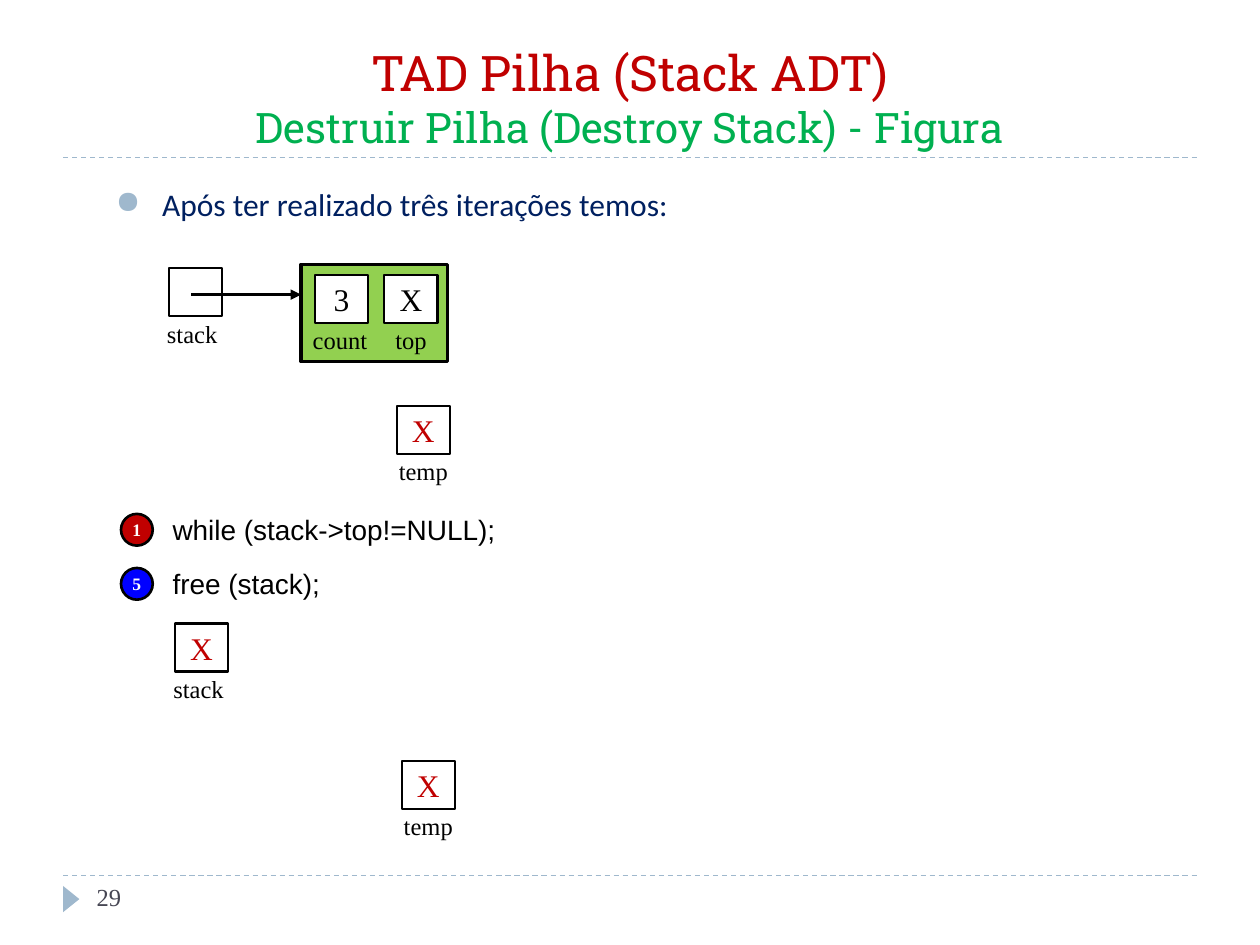
"""Build the slide that shows a stack being destroyed after three iterations."""
import pptx
import pptx.util
import pptx.dml.color
import pptx.enum.dml
import pptx.enum.shapes
import pptx.enum.text
import pptx.oxml
import pptx.oxml.ns

Cm = pptx.util.Cm
Pt = pptx.util.Pt
SHAPES = pptx.enum.shapes.MSO_SHAPE
ALIGN = pptx.enum.text.PP_ALIGN
ANCHOR = pptx.enum.text.MSO_ANCHOR

SERIF, SANS = "Times New Roman", "Arial"
BLACK, WHITE, RED, ACCENT = "000000", "FFFFFF", "C00000", "9FB8CD"

TITLE = [("TAD Pilha (Stack ADT)", 28, RED),
         ("Destruir Pilha (Destroy Stack) - Figura", 24, "00B050")]
STATEMENT = "Após ter realizado três iterações temos:"
PAGE_NUMBER = "29"
RULE_TOPS = [17.65, 3.18]
STEPS = [(10.21, "1", RED, "while (stack->top!=NULL);"),
         (11.3, "5", "0000FF", "free (stack);")]
VARIABLES = [(3.4, 5.41, "", BLACK, "stack"),
             (6.35, 5.54, "3", BLACK, "count"),
             (7.75, 5.54, "X", BLACK, "top"),
             (8, 8.18, "X", RED, "temp"),
             (3.53, 12.57, "X", RED, "stack"),
             (8.1, 15.34, "X", RED, "temp")]
LABELS = {"stack": (1.55, -0.06), "count": (1.63, -0.03), "top": (1.14, 0), "temp": (1.5, 0)}
CELL_WIDTH, CELL_HEIGHT, LABEL_DROP = 1.07, 0.97, 0.89
POINTER = (3.86, 5.94, 6.07, 5.94)


def rgb(value):
    return pptx.dml.color.RGBColor.from_string(value)


def format_run(run, size, color, font=SERIF, bold=False):
    run.font.size, run.font.name, run.font.bold = Pt(size), font, bold
    run.font.color.rgb = rgb(color)


def add_text(slide, box, text, size, color, font=SERIF, align=ALIGN.LEFT, wrap=True):
    shape = slide.shapes.add_textbox(*map(Cm, box))
    shape.text_frame.word_wrap = wrap
    paragraph = shape.text_frame.paragraphs[0]
    paragraph.text, paragraph.alignment = text, align
    for run in paragraph.runs:
        format_run(run, size, color, font)
    return shape


def add_figure(slide, kind, box, fill, line_width=0, text="", size=18, color=BLACK, bold=False):
    shape = slide.shapes.add_shape(kind, *map(Cm, box))
    shape.shadow.inherit = False
    shape.fill.solid()
    shape.fill.fore_color.rgb = rgb(fill)
    if line_width:
        shape.line.color.rgb = rgb(BLACK)
        shape.line.width = Pt(line_width)
    else:
        shape.line.fill.background()
    if text:
        frame = shape.text_frame
        frame.text, frame.word_wrap, frame.vertical_anchor = text, False, ANCHOR.MIDDLE
        frame.paragraphs[0].alignment = ALIGN.CENTER
        format_run(frame.paragraphs[0].runs[0], size, color, bold=bold)
    return shape


def add_line(slide, ends, color, width):
    line = slide.shapes.add_connector(pptx.enum.shapes.MSO_CONNECTOR.STRAIGHT, *map(Cm, ends))
    line.line.color.rgb = rgb(color)
    line.line.width = Pt(width)
    pptx.oxml.ns.qn("a:effectLst")
    line._element.spPr.append(pptx.oxml.parse_xml(
        f"<a:effectLst {pptx.oxml.ns.nsdecls('a')}/>"))
    return line


def add_title(slide):
    text = "\v".join(part[0] for part in TITLE)
    title = add_text(slide, (1.27, 0.64, 22.86, 2.54), text, 24, BLACK, align=ALIGN.CENTER)
    title.text_frame.vertical_anchor = ANCHOR.BOTTOM
    for run, (_, size, color) in zip(title.text_frame.paragraphs[0].runs, TITLE):
        format_run(run, size, color, "Roboto Slab")


def add_statement(slide):
    shape = add_text(slide, (2.08, 3.61, 21.59, 1.22), STATEMENT, 18, "002060",
                     "Calibri", ALIGN.JUSTIFY)
    properties = shape.text_frame.paragraphs[0]._p.get_or_add_pPr()
    properties.set("marL", str(Cm(0.94)))
    properties.set("indent", str(-Cm(0.94)))
    namespace = pptx.oxml.ns.nsdecls("a")
    for xml in (f'<a:buClr {namespace}><a:srgbClr val="{ACCENT}"/></a:buClr>',
                f'<a:buChar {namespace} char="●"/>'):
        properties.append(pptx.oxml.parse_xml(xml))


def add_variable(slide, left, top, value, color, name):
    add_figure(slide, SHAPES.RECTANGLE, (left, top, CELL_WIDTH, CELL_HEIGHT), WHITE, 1.25,
               value, 18, color)
    width, shift = LABELS[name]
    label_left = left + (CELL_WIDTH - width) / 2 + shift
    add_text(slide, (label_left, top + LABEL_DROP, width, 0.86), name, 14, BLACK,
             align=ALIGN.CENTER, wrap=False)


def main():
    presentation = pptx.Presentation()
    presentation.slide_width, presentation.slide_height = Cm(25.4), Cm(19.05)
    slide = presentation.slides.add_slide(presentation.slide_layouts[6])

    for top in RULE_TOPS:
        rule = add_line(slide, (1.27, top, 24.13, top), ACCENT, 0.75)
        rule.line.dash_style = pptx.enum.dml.MSO_LINE.DASH
    marker = add_figure(slide, SHAPES.ISOSCELES_TRIANGLE, (1.17, 17.96, 0.53, 0.33), ACCENT)
    marker.rotation = 90
    add_title(slide)
    add_text(slide, (1.7, 17.65, 5.51, 1.02), PAGE_NUMBER, 14, "464653")
    add_statement(slide)

    add_figure(slide, SHAPES.RECTANGLE, (6.07, 5.33, 2.95, 1.96), "92D050", 2)
    for variable in VARIABLES:
        add_variable(slide, *variable)
    pointer = add_line(slide, POINTER, BLACK, 1.5)
    pointer.line._get_or_add_ln().append(pptx.oxml.parse_xml(
        f'<a:tailEnd {pptx.oxml.ns.nsdecls("a")} type="triangle"/>'))

    for top, number, color, code in STEPS:
        add_text(slide, (3.23, top, 8, 0.94), code, 16, BLACK, SANS)
        add_figure(slide, SHAPES.OVAL, (2.44, top + 0.15, 0.64, 0.64), color, 1.5,
                   number, 10, WHITE, True)

    presentation.save("out.pptx")


if __name__ == "__main__":
    main()
